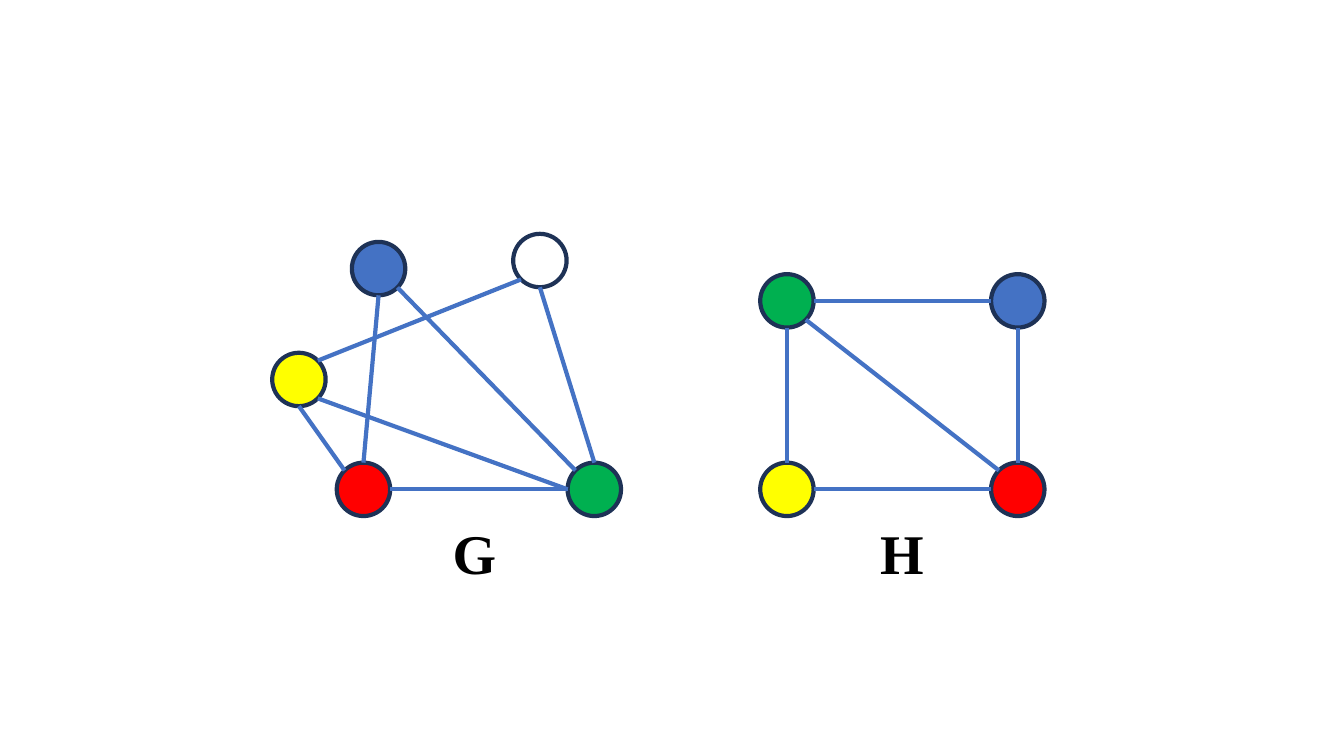
from math import sqrt
from lxml.etree import SubElement
from pptx import Presentation
from pptx.dml.color import RGBColor
from pptx.enum.shapes import MSO_CONNECTOR, MSO_SHAPE
from pptx.enum.text import MSO_AUTO_SIZE
from pptx.oxml.ns import qn
from pptx.util import Inches, Pt

# Content: nodes are (left, top); edges are (node, side, node, side)
COLORS = {"red": "FF0000", "green": "00B050", "yellow": "FFFF00",
          "white": "FFFFFF", "blue": "4472C4"}
GRAPHS = [
    {"label": "G", "label_at": (4.39, 5.09),
     "nodes": {"red": (3.34, 4.59), "green": (5.63, 4.59), "yellow": (2.7, 3.5),
               "white": (5.09, 2.32), "blue": (3.49, 2.4)},
     "edges": [("red", "E", "green", "W"), ("blue", "S", "red", "N"),
               ("blue", "SE", "green", "NW"), ("yellow", "S", "red", "NW"),
               ("white", "SW", "yellow", "NE"), ("white", "S", "green", "N"),
               ("yellow", "SE", "green", "W")]},
    {"label": "H", "label_at": (8.63, 5.09),
     "nodes": {"yellow": (7.54, 4.59), "red": (9.83, 4.59),
               "green": (7.54, 2.72), "blue": (9.83, 2.72)},
     "edges": [("yellow", "E", "red", "W"), ("green", "S", "yellow", "N"),
               ("blue", "W", "green", "E"), ("blue", "S", "red", "N"),
               ("green", "SE", "red", "NW")]},
]
SIZE = 0.53
OUTLINE, EDGE, INK = "1E3256", "4472C4", "000000"
LINE_WIDTH = Pt(3)
LABEL_FONT = {"name": "Times New Roman", "size": Pt(40), "bold": True}


def rgb(value):
    return RGBColor.from_string(value)


def set_line(sp, color):
    sp.line.color.rgb = rgb(color)
    sp.line.width = LINE_WIDTH


def rim_point(node, side):
    """Point on a node's circle in a compass direction."""
    dx = ("E" in side) - ("W" in side)
    dy = ("S" in side) - ("N" in side)
    reach = SIZE / 2 / sqrt(dx * dx + dy * dy)
    left, top = node
    return (Inches(left + SIZE / 2 + dx * reach),
            Inches(top + SIZE / 2 + dy * reach))


def add_node(s, color, at):
    sp = s.shapes.add_shape(MSO_SHAPE.OVAL, *map(Inches, (*at, SIZE, SIZE)))
    sp.shadow.inherit = False
    sp.fill.solid()
    sp.fill.fore_color.rgb = rgb(color)
    set_line(sp, OUTLINE)


def add_edge(s, start, end):
    cxn = s.shapes.add_connector(MSO_CONNECTOR.STRAIGHT, *start, *end)
    set_line(cxn, EDGE)
    SubElement(cxn._element.spPr, qn("a:effectLst"))


def add_label(s, text, at):
    tf = s.shapes.add_textbox(*map(Inches, (*at, 0.64, 0.77))).text_frame
    tf.word_wrap = False
    tf.auto_size = MSO_AUTO_SIZE.SHAPE_TO_FIT_TEXT
    r = tf.paragraphs[0].add_run()
    r.text = text
    for key, value in LABEL_FONT.items():
        setattr(r.font, key, value)
    r.font.color.rgb = rgb(INK)


def main():
    prs = Presentation()
    prs.slide_width, prs.slide_height = Inches(13.33), Inches(7.5)
    s = prs.slides.add_slide(prs.slide_layouts[6])

    for graph in GRAPHS:
        nodes = graph["nodes"]
        for name, at in nodes.items():
            add_node(s, COLORS[name], at)
        for a, a_side, b, b_side in graph["edges"]:
            add_edge(s, rim_point(nodes[a], a_side), rim_point(nodes[b], b_side))
        add_label(s, graph["label"], graph["label_at"])

    prs.save("out.pptx")


if __name__ == "__main__":
    main()
